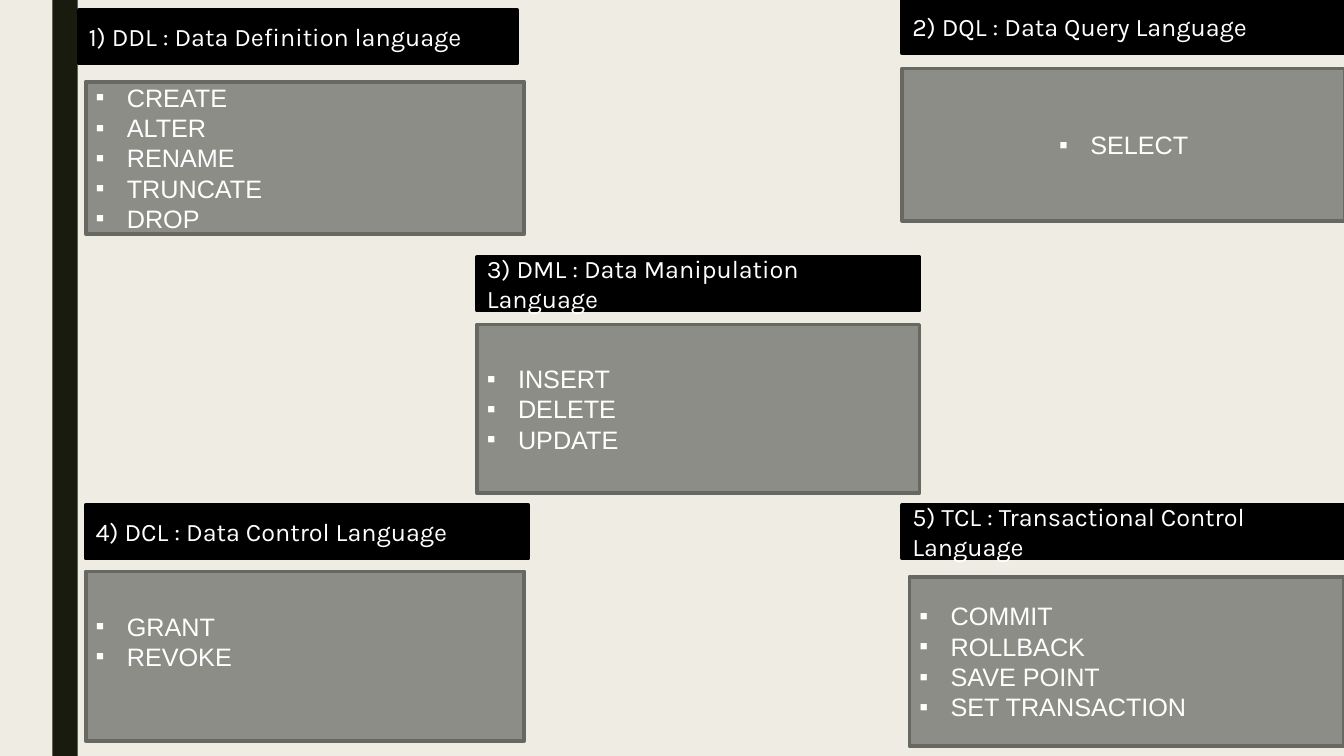
from dataclasses import dataclass

from lxml.etree import SubElement
from pptx import Presentation
from pptx.dml.color import RGBColor
from pptx.enum.shapes import MSO_SHAPE
from pptx.enum.text import MSO_ANCHOR, PP_ALIGN
from pptx.oxml.ns import qn
from pptx.shapes.autoshape import Shape
from pptx.slide import Slide
from pptx.text.text import _Paragraph as Paragraph
from pptx.util import Inches, Pt

CREAM = RGBColor(0xEF, 0xED, 0xE3)
DARK_OLIVE = RGBColor(0x19, 0x1B, 0x0E)
BLACK = RGBColor(0, 0, 0)
WHITE = RGBColor(0xFF, 0xFF, 0xFF)
GREY = RGBColor(0x8C, 0x8D, 0x86)
DARK_GREY = RGBColor(0x68, 0x68, 0x63)

HEADING_HEIGHT = 0.53
BULLET_INDENT = Inches(0.31)


@dataclass(frozen=True)
class Box:
    left: float
    top: float
    width: float
    height: float


@dataclass(frozen=True)
class Sublanguage:
    heading: str
    heading_box: Box
    commands: tuple[str, ...]
    commands_box: Box
    align: PP_ALIGN = PP_ALIGN.JUSTIFY
    bottom_inset: float = 0.05


SUBLANGUAGES = (
    Sublanguage("1) DDL : Data Definition language",
                Box(0.78, 0.1, 4.35, HEADING_HEIGHT),
                ("CREATE", "ALTER", "RENAME", "TRUNCATE", "DROP"),
                Box(0.85, 0.81, 4.35, 1.51)),
    Sublanguage("2) DQL : Data Query Language",
                Box(8.95, 0, 4.39, HEADING_HEIGHT),
                ("SELECT",),
                Box(8.95, 0.68, 4.39, 1.51), PP_ALIGN.CENTER),
    Sublanguage("3) DML : Data Manipulation Language",
                Box(4.73, 2.55, 4.39, HEADING_HEIGHT),
                ("INSERT", "DELETE", "UPDATE"),
                Box(4.73, 3.22, 4.39, 1.67)),
    Sublanguage("4) DCL : Data Control Language",
                Box(0.85, 5.01, 4.39, HEADING_HEIGHT),
                ("GRANT", "REVOKE"),
                Box(0.85, 5.67, 4.35, 1.68), PP_ALIGN.LEFT, 0.35),
    Sublanguage("5) TCL : Transactional Control Language",
                Box(8.95, 5.01, 4.39, HEADING_HEIGHT),
                ("COMMIT", "ROLLBACK", "SAVE POINT", "SET TRANSACTION"),
                Box(9.02, 5.72, 4.31, 1.68)),
)


def add_rectangle(slide: Slide, box: Box, fill: RGBColor,
                  outline: RGBColor | None = None) -> Shape:
    rectangle = slide.shapes.add_shape(
        MSO_SHAPE.RECTANGLE, Inches(box.left), Inches(box.top),
        Inches(box.width), Inches(box.height))
    rectangle.shadow.inherit = False
    rectangle.fill.solid()
    rectangle.fill.fore_color.rgb = fill
    if outline is None:
        rectangle.line.fill.background()
    else:
        rectangle.line.color.rgb = outline
        rectangle.line.width = Pt(2.75)
    return rectangle


def write_lines(panel: Shape, lines: tuple[str, ...], font_name: str,
                align: PP_ALIGN) -> None:
    frame = panel.text_frame
    frame.text = "\n".join(lines)
    frame.word_wrap = True
    frame.vertical_anchor = MSO_ANCHOR.MIDDLE
    for paragraph in frame.paragraphs:
        paragraph.alignment = align
        for run in paragraph.runs:
            run.font.name = font_name
            run.font.size = Pt(18)
            run.font.color.rgb = WHITE


def add_bullet(paragraph: Paragraph) -> None:
    properties = paragraph._p.get_or_add_pPr()
    properties.set("marL", str(BULLET_INDENT))
    properties.set("indent", str(-BULLET_INDENT))
    SubElement(properties, qn("a:buFont"), typeface="Arial")
    SubElement(properties, qn("a:buChar"), char="▪")


def add_heading(slide: Slide, sublanguage: Sublanguage) -> None:
    heading = add_rectangle(slide, sublanguage.heading_box, BLACK, BLACK)
    write_lines(heading, (sublanguage.heading,), "Karla", PP_ALIGN.LEFT)


def add_commands(slide: Slide, sublanguage: Sublanguage) -> None:
    panel = add_rectangle(slide, sublanguage.commands_box, GREY, DARK_GREY)
    write_lines(panel, sublanguage.commands, "Arial", sublanguage.align)
    panel.text_frame.margin_bottom = Inches(sublanguage.bottom_inset)
    for paragraph in panel.text_frame.paragraphs:
        add_bullet(paragraph)


def main() -> None:
    presentation = Presentation()
    presentation.slide_width = Inches(13.33)
    presentation.slide_height = Inches(7.5)
    slide = presentation.slides.add_slide(presentation.slide_layouts[6])
    slide.background.fill.solid()
    slide.background.fill.fore_color.rgb = CREAM

    add_rectangle(slide, Box(0.52, 0, 0.25, 7.5), DARK_OLIVE)
    for sublanguage in SUBLANGUAGES:
        add_heading(slide, sublanguage)
        add_commands(slide, sublanguage)
    presentation.save("out.pptx")


if __name__ == "__main__":
    main()
